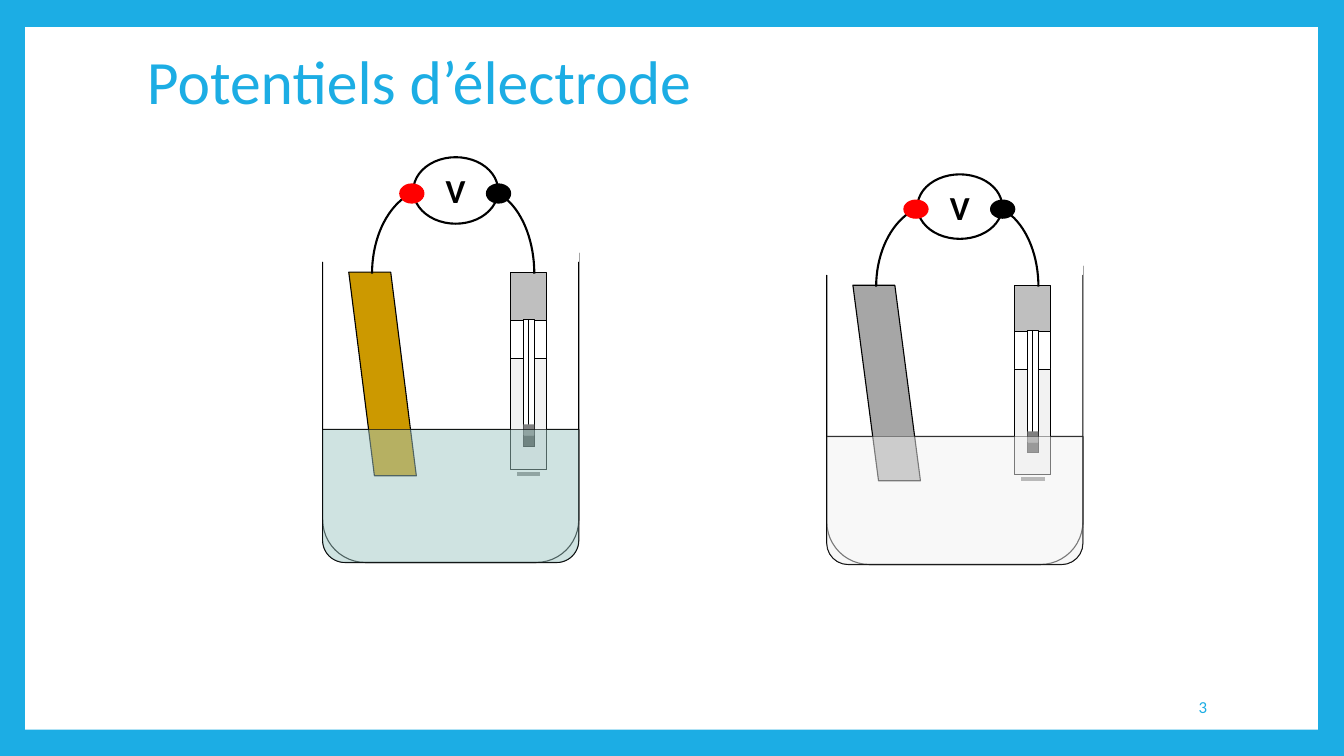
"""Build a slide with two electrode potential cells."""
from dataclasses import dataclass

from pptx import Presentation
from pptx.dml.color import RGBColor
from pptx.enum.shapes import MSO_CONNECTOR, MSO_SHAPE
from pptx.enum.text import MSO_ANCHOR, PP_ALIGN
from pptx.oxml.xmlchemy import OxmlElement
from pptx.util import Pt

PX = 9144
FONT = "Calibri"
RECT = MSO_SHAPE.RECTANGLE
VESSEL = MSO_SHAPE.ROUND_2_SAME_RECTANGLE
STRIP = MSO_SHAPE.PARALLELOGRAM
ARC = MSO_SHAPE.ARC
OVAL = MSO_SHAPE.OVAL
STRAIGHT = MSO_CONNECTOR.STRAIGHT
LEFT, CENTER, RIGHT = PP_ALIGN.LEFT, PP_ALIGN.CENTER, PP_ALIGN.RIGHT
MIDDLE = MSO_ANCHOR.MIDDLE

COLORS = {
    "accent": "1CADE4", "white": "FFFFFF", "black": "000000", "red": "FF0000",
    "cap": "BFBFBF", "gel": "F2F2F2", "grey": "808080", "dark": "404040",
    "copper": "CC9900", "zinc": "A6A6A6", "blue_salt": "A1C8C5", "clear_salt": "F2F2F2",
}


@dataclass(frozen=True)
class Part:
    kind: MSO_SHAPE
    x: int
    y: int
    w: int
    h: int
    fill: str = ""
    line: str = "black"
    weight: float = 0.79
    rotation: int = 0
    flip: bool = False
    alpha: int = 100
    text: str = ""


@dataclass(frozen=True)
class Wire:
    x1: int
    x2: int
    y1: int
    y2: int
    color: str
    weight: float


@dataclass(frozen=True)
class Cell:
    x: int
    y: int
    height: int
    metal: str
    solution: str


CELL_HEIGHT = 402
PARTS = [
    Part(VESSEL, 0, 95, 254, 307, rotation=180),
    Part(VESSEL, 0, 270, 254, 132, rotation=180),
    Part(RECT, 0, 86, 254, 17, "white", "white"),
    Part(RECT, 186, 114, 36, 48, "cap"),
    Part(RECT, 186, 162, 36, 148, "white"),
    Part(RECT, 186, 200, 36, 110, "gel", weight=0.5),
    Part(RECT, 199, 161, 11, 126, "white", weight=0.5),
    Wire(193, 216, 314, 314, "grey", 3),
    Wire(204, 204, 161, 269, "black", 1),
    Part(RECT, 199, 265, 11, 11, "grey", ""),
    Part(RECT, 199, 276, 11, 11, "dark", ""),
    Part(STRIP, 26, 114, 67, 202, "metal", flip=True),
    Part(ARC, 103, 31, 107, 169, weight=1.5),
    Part(ARC, 49, 31, 116, 169, weight=1.5, flip=True),
    Part(OVAL, 90, 0, 84, 66, "white", weight=1.5, text="V"),
    Part(VESSEL, 0, 270, 254, 132, "solution", weight=0.25, rotation=180, alpha=50),
    Part(OVAL, 77, 27, 23, 18, "red", "red", 1.5),
    Part(OVAL, 163, 27, 23, 18, "black", "black", 1.5),
]
CELLS = [
    Cell(320, 156, 402, "copper", "blue_salt"),
    Cell(820, 173, 387, "zinc", "clear_salt"),
]


def rgb(name: str) -> RGBColor:
    return RGBColor.from_string(COLORS[name])


def write(tf, text: str, size: int, color: str, align, bold: bool = False) -> None:
    tf.vertical_anchor = MIDDLE
    p = tf.paragraphs[0]
    p.alignment = align
    r = p.add_run()
    r.text = text
    r.font.name = FONT
    r.font.size = Pt(size)
    r.font.bold = bold
    r.font.color.rgb = rgb(color)


def add_label(shapes, x: int, y: int, w: int, h: int, text: str, size: int, align):
    tf = shapes.add_textbox(x * PX, y * PX, w * PX, h * PX).text_frame
    tf.word_wrap = True
    write(tf, text, size, "accent", align)
    return tf


def draw_part(shapes, part: Part) -> None:
    sp = shapes.add_shape(part.kind, part.x * PX, part.y * PX, part.w * PX, part.h * PX)
    sp.shadow.inherit = False
    sp.rotation = part.rotation
    if part.kind == STRIP:
        sp.adjustments[0] = 0.379
    if part.flip:
        sp.element.spPr.xfrm.set("flipH", "1")
    if part.fill:
        sp.fill.solid()
        sp.fill.fore_color.rgb = rgb(part.fill)
    else:
        sp.fill.background()
    if part.alpha < 100:
        alpha = OxmlElement("a:alpha")
        alpha.set("val", str(part.alpha * 1000))
        sp.element.spPr.find(".//{*}solidFill/{*}srgbClr").append(alpha)
    if part.line:
        sp.line.color.rgb = rgb(part.line)
        sp.line.width = Pt(part.weight)
    else:
        sp.line.fill.background()
    if part.text:
        tf = sp.text_frame
        tf.margin_left = tf.margin_right = tf.margin_top = tf.margin_bottom = 0
        write(tf, part.text, 24, "black", CENTER, bold=True)


def draw_wire(shapes, wire: Wire) -> None:
    line = shapes.add_connector(
        STRAIGHT, wire.x1 * PX, wire.y1 * PX, wire.x2 * PX, wire.y2 * PX)
    line.line.color.rgb = rgb(wire.color)
    line.line.width = Pt(wire.weight)
    line.element.spPr.append(OxmlElement("a:effectLst"))


def draw_cell(slide, cell: Cell) -> None:
    def place_y(y: int) -> int:
        return cell.y + round(y * cell.height / CELL_HEIGHT)

    shapes = slide.shapes.add_group_shape().shapes
    swaps = {"metal": cell.metal, "solution": cell.solution}
    for item in PARTS:
        if isinstance(item, Wire):
            draw_wire(shapes, Wire(cell.x + item.x1, cell.x + item.x2, place_y(item.y1),
                                   place_y(item.y2), item.color, item.weight))
        else:
            top = place_y(item.y)
            draw_part(shapes, Part(
                item.kind, cell.x + item.x, top, item.w, place_y(item.y + item.h) - top,
                swaps.get(item.fill, item.fill), item.line, item.weight,
                item.rotation, item.flip, item.alpha, item.text))


def main() -> None:
    prs = Presentation()
    prs.slide_width, prs.slide_height = 1333 * PX, 750 * PX
    slide = prs.slides.add_slide(prs.slide_layouts[6])
    slide.background.fill.solid()
    slide.background.fill.fore_color.rgb = rgb("accent")
    draw_part(slide.shapes, Part(RECT, 25, 27, 1282, 697, "white", ""))
    title = add_label(slide.shapes, 136, 28, 1100, 111, "Potentiels d’électrode", 44, LEFT)
    title.paragraphs[0].line_spacing = 0.9
    add_label(slide.shapes, 1020, 681, 187, 40, "3", 12, RIGHT)
    for cell in CELLS:
        draw_cell(slide, cell)
    prs.save("out.pptx")


if __name__ == "__main__":
    main()
